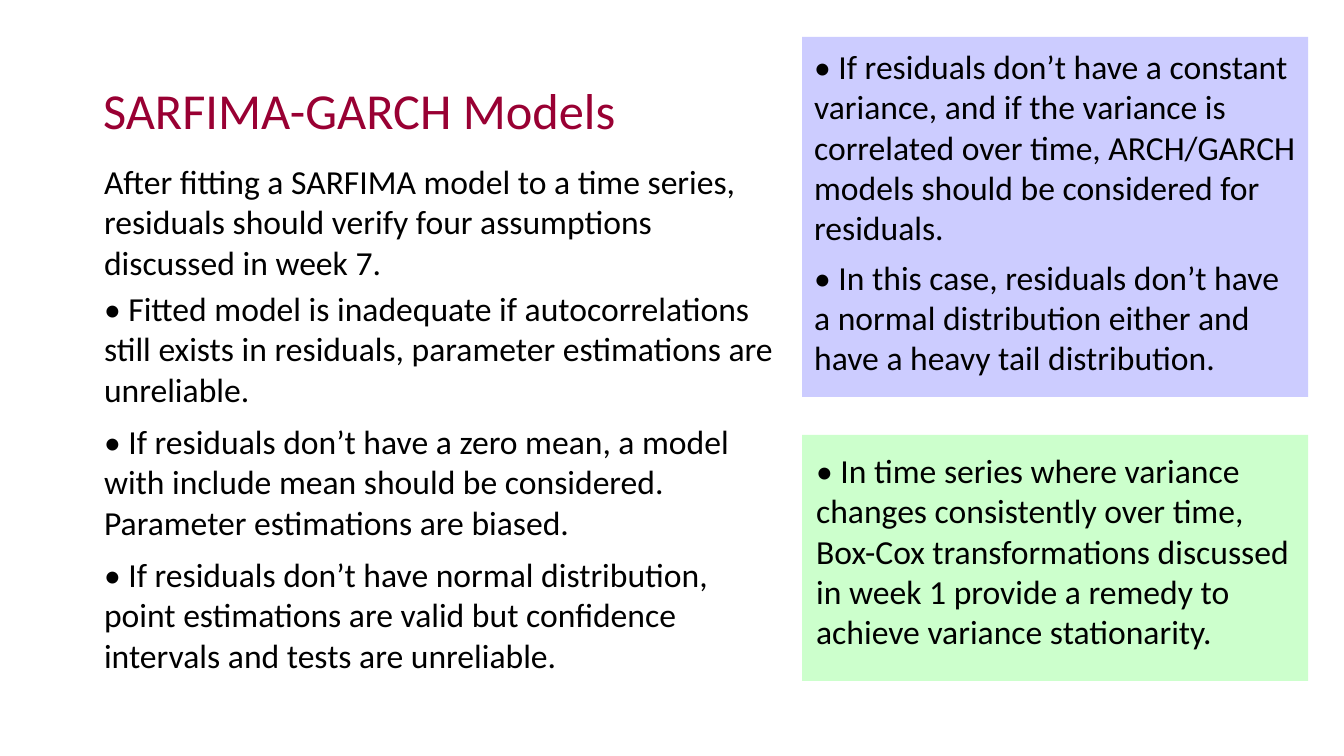
from pptx import Presentation
from pptx import util as u
from pptx.dml.color import RGBColor
from pptx.enum import shapes, text
from lxml import etree

PIXEL = u.Inches(1) / 100.8
CRIMSON = RGBColor(0x99, 0x00, 0x33)
BLACK = RGBColor(0x00, 0x00, 0x00)
LAVENDER = RGBColor(0xCC, 0xCC, 0xFF)
MINT = RGBColor(0xCC, 0xFF, 0xCC)
DRAWING = "{http://schemas.openxmlformats.org/drawingml/2006/main}"


def px(value):
    return u.Emu(round(value * PIXEL))


class SlideBuilder:
    font = "Calibri"
    title_size = 36
    body_size = 24

    def __init__(self, slide):
        self.slide = slide

    def place(self, shape, box):
        shape.left, shape.top, shape.width, shape.height = map(px, box)

    def set_text(self, shape, paragraphs, margins, size, color,
                 anchor=text.MSO_ANCHOR.TOP):
        frame = shape.text_frame
        frame.word_wrap = True
        frame.auto_size = text.MSO_AUTO_SIZE.NONE
        frame.vertical_anchor = anchor
        (frame.margin_left, frame.margin_top,
         frame.margin_right, frame.margin_bottom) = map(px, margins)
        for index, (gap, words) in enumerate(paragraphs):
            paragraph = frame.add_paragraph() if index else frame.paragraphs[0]
            paragraph.alignment = text.PP_ALIGN.LEFT
            paragraph.space_before = px(gap)
            run = paragraph.add_run()
            run.text = words
            run.font.name = self.font
            run.font.size = u.Pt(size)
            run.font.color.rgb = color
        return frame

    def title(self, words, box):
        shape = self.slide.shapes.title
        self.place(shape, box)
        frame = self.set_text(shape, [(0, words)], (10, 5, 10, 5),
                              self.title_size, CRIMSON, text.MSO_ANCHOR.MIDDLE)
        frame.paragraphs[0].line_spacing = 0.9

    def body(self, paragraphs, box):
        shape = self.slide.placeholders[1]
        self.place(shape, box)
        frame = self.set_text(shape, paragraphs, (10, 5, 10, 5),
                              self.body_size, BLACK)
        for paragraph in frame.paragraphs:
            properties = paragraph._p.get_or_add_pPr()
            properties.set("marL", "0")
            properties.set("indent", "0")
            etree.SubElement(properties, DRAWING + "buNone")

    def panel(self, paragraphs, box, fill, margins):
        shape = self.slide.shapes.add_shape(
            shapes.MSO_SHAPE.RECTANGLE, *map(px, box))
        shape.shadow.inherit = False
        shape.fill.solid()
        shape.fill.fore_color.rgb = fill
        shape.line.fill.background()
        self.set_text(shape, paragraphs, margins, self.body_size, BLACK)


presentation = Presentation()
presentation.slide_width = u.Inches(13.33)
presentation.slide_height = u.Inches(7.5)
slide = presentation.slides.add_slide(presentation.slide_layouts[1])
builder = SlideBuilder(slide)

builder.title("SARFIMA-GARCH Models", (93, 40, 580, 146))
builder.body([
    (0, "After fitting a SARFIMA model to a time series, residuals should "
        "verify four assumptions discussed in week 7."),
    (6, "• Fitted model is inadequate if autocorrelations still exists in "
        "residuals, parameter estimations are unreliable."),
    (12, "• If residuals don’t have a zero mean, a model with include mean "
         "should be considered. Parameter estimations are biased."),
    (12, "• If residuals don’t have normal distribution, point estimations "
         "are valid but confidence intervals and tests are unreliable."),
], (94, 156, 697, 525))
builder.panel([
    (0, "• If residuals don’t have a constant variance, and if the variance "
        "is correlated over time, ARCH/GARCH models should be considered "
        "for residuals."),
    (9, "• In this case, residuals don’t have a normal distribution either "
        "and have a heavy tail distribution."),
], (802, 37, 506, 360), LAVENDER, (12, 9, 10, 5))
builder.panel([
    (0, "• In time series where variance changes consistently over time, "
        "Box-Cox transformations discussed in week 1 provide a remedy to "
        "achieve variance stationarity."),
], (802, 435, 506, 246), MINT, (14, 15, 10, 5))

presentation.save("out.pptx")
